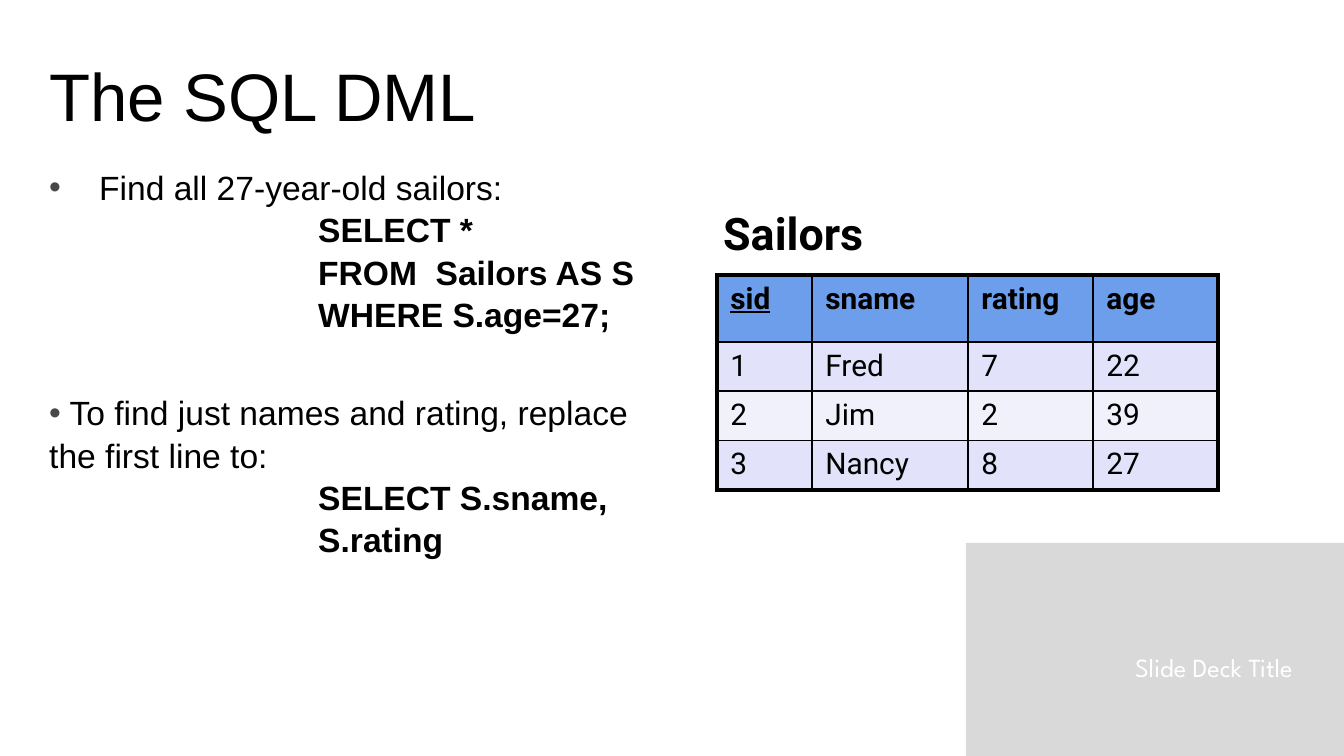
from dataclasses import dataclass

from lxml import etree
from pptx import Presentation
from pptx import util as u
from pptx.dml.color import RGBColor
from pptx.enum import shapes, text
from pptx.oxml.ns import qn

PX = u.Inches(10) / 1344
BLACK = RGBColor(0x00, 0x00, 0x00)
WHITE = RGBColor(0xFF, 0xFF, 0xFF)
GRAY = RGBColor(0xD9, 0xD9, 0xD9)
BULLET_GRAY = RGBColor(0x48, 0x48, 0x48)
HEADER_BLUE = RGBColor(0x6D, 0x9E, 0xEB)
ROW_LILAC = RGBColor(0xE2, 0xE2, 0xFA)
ROW_PALE = RGBColor(0xF1, 0xF1, 0xFC)
THICK, THIN = u.Pt(2.25), u.Pt(1)


@dataclass(frozen=True)
class Box:
    left: int
    top: int
    width: int
    height: int

    def emu(self) -> list[u.Emu]:
        return [px(v) for v in (self.left, self.top, self.width, self.height)]


@dataclass(frozen=True)
class Style:
    size: int
    name: str = "Arial"
    color: RGBColor = BLACK
    bold: bool = False
    underline: bool = False


@dataclass(frozen=True)
class Line:
    words: str
    indent: int = 0
    hanging: int = 0
    space_before: int = 0
    bullet: bool = False
    bold: bool = False


def px(value: int) -> u.Emu:
    return u.Emu(round(value * PX))


def format_paragraph(paragraph, style: Style) -> None:
    font = paragraph.font
    font.size = u.Pt(style.size)
    font.name = style.name
    font.bold = style.bold
    font.underline = style.underline
    font.color.rgb = style.color


def add_text(slide, box: Box, lines: list[Line], style: Style,
             align=text.PP_ALIGN.LEFT, margin_top: int = 7) -> None:
    frame = slide.shapes.add_textbox(*box.emu()).text_frame
    frame.word_wrap = True
    frame.margin_top = px(margin_top)
    for index, line in enumerate(lines):
        paragraph = frame.paragraphs[0] if index == 0 else frame.add_paragraph()
        paragraph.text = line.words
        paragraph.alignment = align
        paragraph.space_before = u.Pt(line.space_before)
        if len(lines) > 1:
            paragraph.line_spacing = 1.05
        properties = paragraph._p.get_or_add_pPr()
        properties.set("marL", str(px(line.indent)))
        properties.set("indent", str(px(-line.hanging)))
        if line.bullet:
            color = etree.SubElement(properties, qn("a:buClr"))
            etree.SubElement(color, qn("a:srgbClr"), val=str(BULLET_GRAY))
            etree.SubElement(properties, qn("a:buFont"), typeface="Arial")
            etree.SubElement(properties, qn("a:buChar"), char="•")
        format_paragraph(paragraph, Style(style.size, style.name, style.color,
                                          style.bold or line.bold))


def set_borders(cell, widths: dict[str, int]) -> None:
    properties = cell._tc.get_or_add_tcPr()
    for side, width in widths.items():
        border = etree.SubElement(properties, qn(f"a:ln{side}"), w=str(width))
        fill = etree.SubElement(border, qn("a:solidFill"))
        etree.SubElement(fill, qn("a:srgbClr"), val=str(BLACK))


def add_sailors_table(slide, left: int, top: int, columns: list[int],
                      heights: list[int], rows: list[list[str]]) -> None:
    box = Box(left, top, sum(columns), sum(heights))
    table = slide.shapes.add_table(len(rows), len(columns), *box.emu()).table
    table.first_row = False
    table.horz_banding = False
    for column, width in zip(table.columns, columns):
        column.width = px(width)
    for r, (row, height) in enumerate(zip(rows, heights)):
        table.rows[r].height = px(height)
        header = r == 0
        color = HEADER_BLUE if header else ROW_LILAC if r % 2 else ROW_PALE
        for c, words in enumerate(row):
            cell = table.cell(r, c)
            set_borders(cell, {
                "L": THICK if c == 0 else THIN,
                "R": THICK if c == len(columns) - 1 else THIN,
                "T": THICK if header else THIN,
                "B": THICK if r == len(rows) - 1 else THIN,
            })
            cell.fill.solid()
            cell.fill.fore_color.rgb = color
            paragraph = cell.text_frame.paragraphs[0]
            paragraph.text = words
            format_paragraph(paragraph, Style(16, "Roboto", bold=header,
                                              underline=header and c == 0))


def add_title(slide, box: Box, words: str) -> None:
    title = slide.shapes.title
    title.left, title.top, title.width, title.height = box.emu()
    frame = title.text_frame
    frame.text = words
    frame.vertical_anchor = text.MSO_ANCHOR.MIDDLE
    frame.auto_size = text.MSO_AUTO_SIZE.NONE
    frame.paragraphs[0].alignment = text.PP_ALIGN.LEFT
    format_paragraph(frame.paragraphs[0], Style(36))


def add_corner_panel(slide, box: Box) -> None:
    panel = slide.shapes.add_shape(shapes.MSO_SHAPE.RECTANGLE, *box.emu())
    panel.shadow.inherit = False
    panel.fill.solid()
    panel.fill.fore_color.rgb = GRAY
    panel.line.fill.background()


def main() -> None:
    presentation = Presentation()
    presentation.slide_width, presentation.slide_height = px(1344), px(756)
    slide = presentation.slides.add_slide(presentation.slide_layouts[5])

    add_corner_panel(slide, Box(966, 543, 378, 213))
    add_text(slide, Box(685, 644, 621, 46), [Line("Slide Deck Title")],
             Style(14, "League Spartan", WHITE), text.PP_ALIGN.RIGHT)
    add_title(slide, Box(36, 46, 1039, 98), "The SQL DML")

    code_indent = 269
    add_text(slide, Box(36, 156, 646, 454), [
        Line("Find all 27-year-old sailors:", indent=50, hanging=50, bullet=True),
        Line("SELECT *", indent=code_indent, bold=True),
        Line("FROM  Sailors AS S", indent=code_indent, bold=True),
        Line("WHERE S.age=27;", indent=code_indent, bold=True),
        Line(" To find just names and rating, replace the first line to:",
             space_before=30, bullet=True),
        Line("SELECT S.sname, S.rating", indent=code_indent, bold=True),
    ], Style(18), margin_top=9)

    add_text(slide, Box(710, 199, 262, 66), [Line("Sailors")],
             Style(24, "Roboto", bold=True))
    add_sailors_table(slide, 717, 275, [95, 156, 125, 125], [67, 48, 48, 48], [
        ["sid", "sname", "rating", "age"],
        ["1", "Fred", "7", "22"],
        ["2", "Jim", "2", "39"],
        ["3", "Nancy", "8", "27"],
    ])
    presentation.save("out.pptx")


if __name__ == "__main__":
    main()
